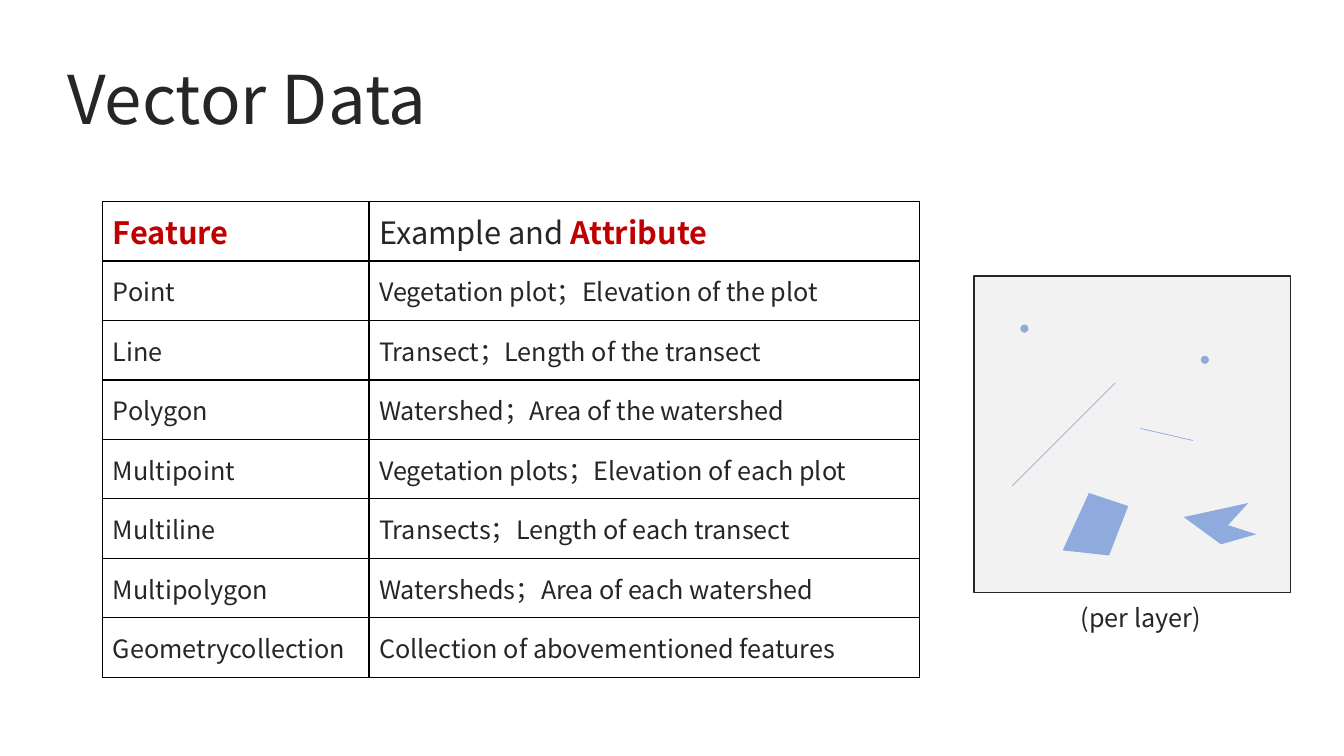
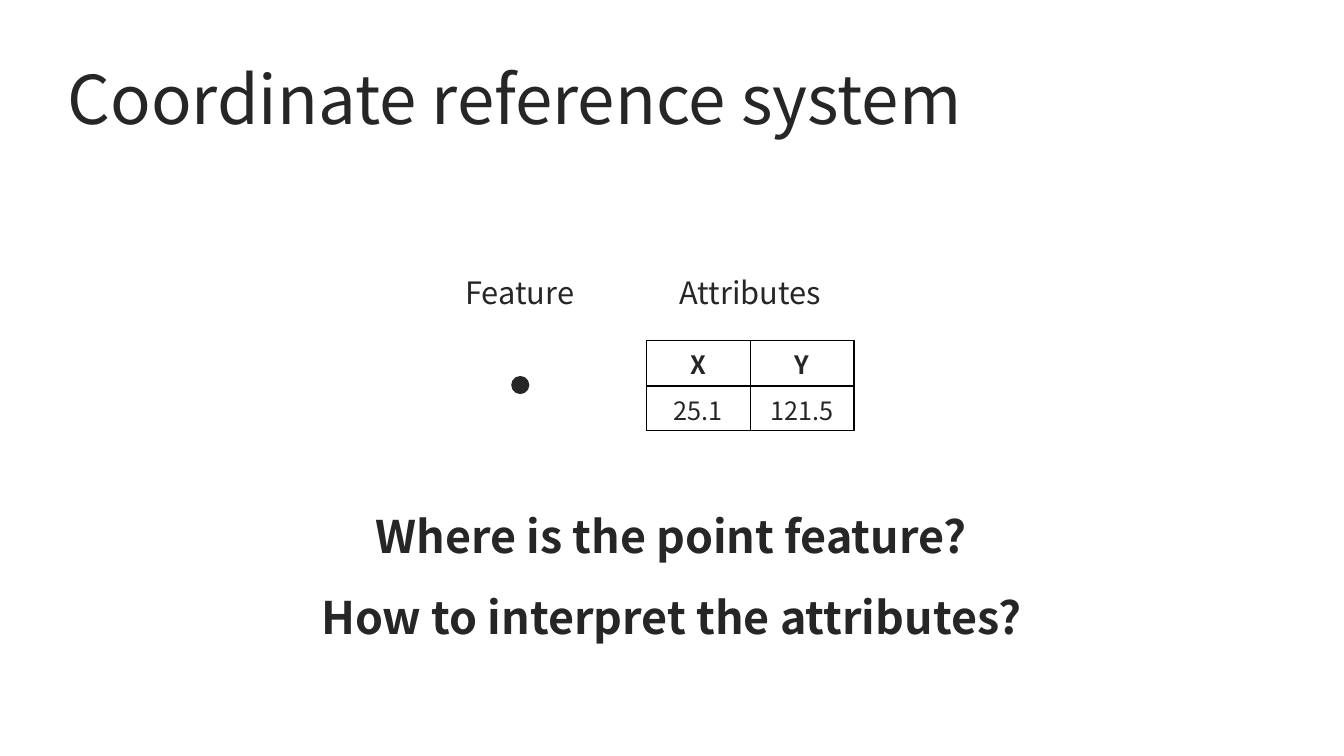
from lxml import etree
from pptx import Presentation
from pptx.dml.color import RGBColor
from pptx.enum.shapes import MSO_CONNECTOR, MSO_SHAPE
from pptx.enum.text import MSO_ANCHOR, MSO_AUTO_SIZE, PP_ALIGN
from pptx.oxml.ns import qn
from pptx.util import Inches, Pt

LEFT, CENTER = PP_ALIGN.LEFT, PP_ALIGN.CENTER
TOP, MIDDLE = MSO_ANCHOR.TOP, MSO_ANCHOR.MIDDLE
GROW = MSO_AUTO_SIZE.SHAPE_TO_FIT_TEXT
RECT, OVAL = MSO_SHAPE.RECTANGLE, MSO_SHAPE.OVAL
STRAIGHT = MSO_CONNECTOR.STRAIGHT

FONT = "Noto Sans CJK TC"
INK, RED, BLUE, PALE, BLACK = "262626", "C00000", "8FAADC", "F2F2F2", "000000"
TITLE_BOX = (0.57, 0.52, 10.33, 0.91)

FEATURES = [
    ("Point", "Vegetation plot；Elevation of the plot"),
    ("Line", "Transect；Length of the transect"),
    ("Polygon", "Watershed；Area of the watershed"),
    ("Multipoint", "Vegetation plots；Elevation of each plot"),
    ("Multiline", "Transects；Length of each transect"),
    ("Multipolygon", "Watersheds；Area of each watershed"),
    ("Geometrycollection", "Collection of abovementioned features"),
]
POINTS = [(10.12, 3.22), (11.91, 3.53)]
LINES = [((11.06, 3.8), (10.04, 4.82)), ((11.83, 4.37), (11.31, 4.25))]
POLYGONS = [
    [(10.8, 4.89), (10.54, 5.46), (11, 5.51), (11.19, 5.02)],
    [(12.38, 4.99), (11.74, 5.13), (12.11, 5.4), (12.46, 5.3), (12.18, 5.21)],
]


def rgb(color):
    return RGBColor.from_string(color)


def inches(values):
    return [Inches(v) for v in values]


class Deck:
    """Holds the shared style and the current slide."""

    def __init__(self):
        self.prs = Presentation()
        self.prs.slide_width, self.prs.slide_height = inches((13.33, 7.5))
        self.s = None

    def slide(self, title):
        self.s = self.prs.slides.add_slide(self.prs.slide_layouts[5])
        sp = self.s.shapes.title
        sp.left, sp.top, sp.width, sp.height = inches(TITLE_BOX)
        self.frame(sp.text_frame, [[(title, INK, False)]], 48)

    def add_runs(self, p, runs, size, align=LEFT):
        p.alignment = align
        for text, color, bold in runs:
            r = p.add_run()
            r.text = text
            r.font.size, r.font.bold, r.font.name = Pt(size), bold, FONT
            r.font.color.rgb = rgb(color)
            ea = etree.SubElement(r.font._element, qn("a:ea"))
            ea.set("typeface", FONT)

    def frame(self, tf, lines, size, align=LEFT, anchor=TOP, spacing=None):
        tf.word_wrap, tf.auto_size, tf.vertical_anchor = True, GROW, anchor
        for i, runs in enumerate(lines):
            p = tf.add_paragraph() if i else tf.paragraphs[0]
            p.line_spacing = spacing
            self.add_runs(p, runs, size, align)

    def text(self, box, lines, size, bold=False, **layout):
        sp = self.s.shapes.add_textbox(*inches(box))
        runs = [[(line, INK, bold)] for line in lines]
        self.frame(sp.text_frame, runs, size, CENTER, **layout)

    def paint(self, sp, fill, line=None):
        sp.shadow.inherit = False
        sp.fill.solid()
        sp.fill.fore_color.rgb = rgb(fill)
        if line:
            sp.line.color.rgb, sp.line.width = rgb(line), Pt(1)
        else:
            sp.line.fill.background()

    def shape(self, kind, box, fill, line=None):
        self.paint(self.s.shapes.add_shape(kind, *inches(box)), fill, line)

    def polygon(self, points, fill):
        start, *rest = [inches(point) for point in points]
        builder = self.s.shapes.build_freeform(*start, scale=1.0)
        builder.add_line_segments(rest, close=True)
        self.paint(builder.convert_to_shape(), fill)

    def line(self, start, end, color):
        sp = self.s.shapes.add_connector(STRAIGHT, *inches(start + end))
        sp.line.color.rgb, sp.line.width = rgb(color), Pt(0.5)
        etree.SubElement(sp._element.spPr, qn("a:effectLst"))

    def border(self, cell):
        tc_pr = cell._tc.get_or_add_tcPr()
        for side in "LRTB":
            ln = etree.SubElement(tc_pr, qn(f"a:ln{side}"), w=str(Pt(1)))
            fill = etree.SubElement(ln, qn("a:solidFill"))
            etree.SubElement(fill, qn("a:srgbClr"), val=BLACK)

    def table(self, at, widths, heights, rows, head_size, align=LEFT):
        box = (*at, sum(widths), sum(heights))
        tbl = self.s.shapes.add_table(len(rows), len(widths), *inches(box)).table
        tbl.first_row = tbl.horz_banding = False
        for column, width in zip(tbl.columns, widths):
            column.width = Inches(width)
        for i, (height, row) in enumerate(zip(heights, rows)):
            tbl.rows[i].height = Inches(height)
            for j, runs in enumerate(row):
                cell = tbl.cell(i, j)
                self.border(cell)
                cell.fill.background()
                cell.vertical_anchor = MIDDLE
                size = 18 if i else head_size
                self.add_runs(cell.text_frame.paragraphs[0], runs, size, align)


def vector_data(deck):
    deck.slide("Vector Data")
    head = [[("Feature", RED, True)],
            [("Example and ", INK, False), ("Attribute", RED, True)]]
    body = [[[(text, INK, False)] for text in row] for row in FEATURES]
    rows = [head] + body
    deck.table((1.02, 2), (2.64, 5.46), [0.59] * len(rows), rows, 22)
    deck.shape(RECT, (9.66, 2.74, 3.14, 3.14), PALE, INK)
    for point in POINTS:
        deck.shape(OVAL, (*point, 0.08, 0.08), BLUE)
    for start, end in LINES:
        deck.line(start, end, BLUE)
    for points in POLYGONS:
        deck.polygon(points, BLUE)
    deck.text((10.57, 5.93, 1.49, 0.4), ["(per layer)"], 18)


def coordinate_system(deck):
    deck.slide("Coordinate reference system")
    deck.text((4.41, 2.67, 1.49, 0.47), ["Feature"], 22)
    deck.text((6.58, 2.67, 1.72, 0.47), ["Attributes"], 22)
    deck.shape(OVAL, (5.07, 3.73, 0.18, 0.18), INK)
    rows = [[[(text, INK, True)] for text in ("X", "Y")],
            [[(text, INK, False)] for text in ("25.1", "121.5")]]
    deck.table((6.41, 3.38), (1.03, 1.03), (0.45, 0.44), rows, 18, CENTER)
    questions = ["Where is the point feature?", "How to interpret the attributes?"]
    deck.text((2.36, 4.77, 8.6, 1.62), questions, 32, True,
              anchor=MIDDLE, spacing=1.5)


def main():
    deck = Deck()
    vector_data(deck)
    coordinate_system(deck)
    deck.prs.save("out.pptx")


if __name__ == "__main__":
    main()
